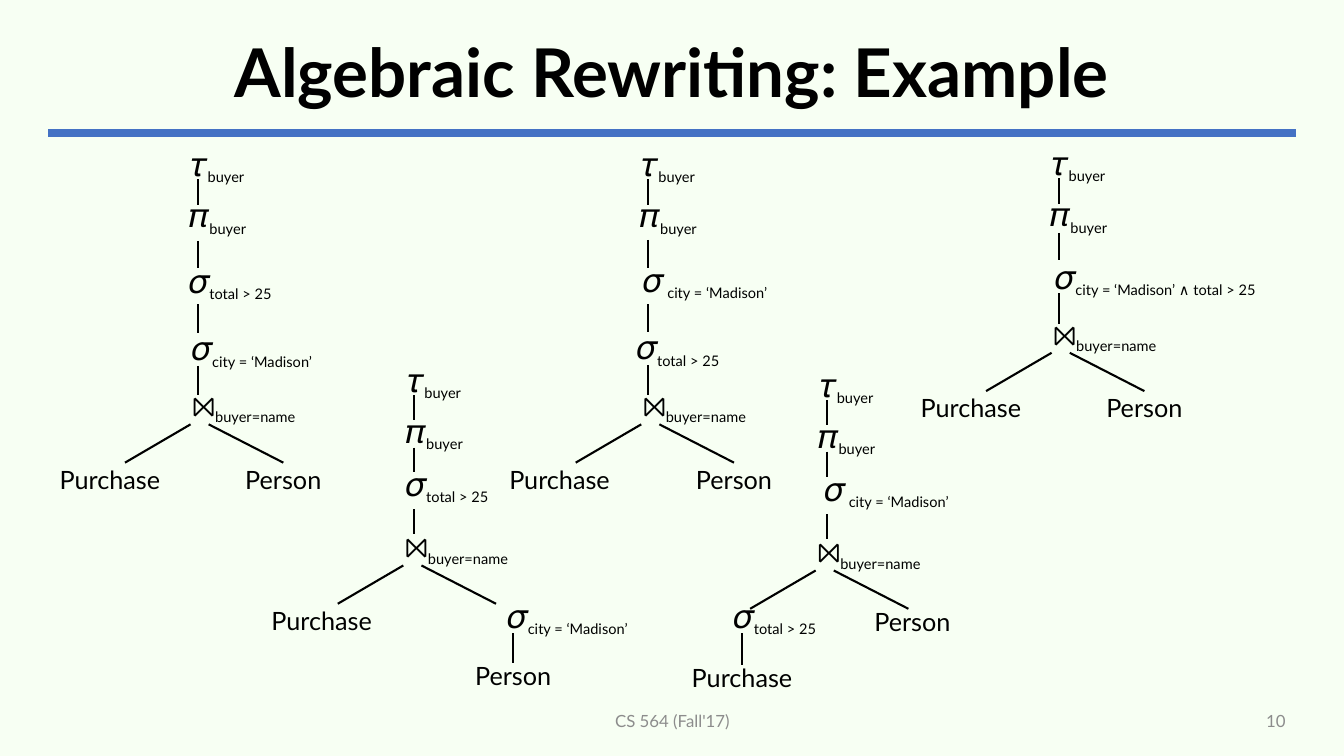
from dataclasses import dataclass

from lxml import etree
from pptx import Presentation
from pptx.dml.color import RGBColor
from pptx.enum.shapes import MSO_CONNECTOR, MSO_SHAPE
from pptx.enum.text import MSO_ANCHOR, PP_ALIGN
from pptx.oxml.ns import qn
from pptx.util import Inches, Pt

STRAIGHT = MSO_CONNECTOR.STRAIGHT
ELLIPSE = MSO_SHAPE.OVAL
MIDDLE = MSO_ANCHOR.MIDDLE
CENTER, RIGHT = PP_ALIGN.CENTER, PP_ALIGN.RIGHT
TOP_SIDE = 0


@dataclass(frozen=True)
class Theme:
    font: str = "Lato"
    background: RGBColor = RGBColor(0xF7, 0xFF, 0xF3)
    ink: RGBColor = RGBColor(0, 0, 0)
    rule: RGBColor = RGBColor(0x44, 0x72, 0xC4)
    footer: RGBColor = RGBColor(0x8C, 0x8C, 0x8C)
    title_size: int = 48
    operator_size: int = 24
    join_size: int = 20
    text_size: int = 18
    footer_size: int = 12


theme = Theme()
presentation = Presentation()
presentation.slide_width = Inches(13.33)
presentation.slide_height = Inches(7.5)
slide = presentation.slides.add_slide(presentation.slide_layouts[6])
slide.background.fill.solid()
slide.background.fill.fore_color.rgb = theme.background


def add_text(left, top, width, height, pieces, align=CENTER, color=theme.ink, node=False):
    box = Inches(left), Inches(top), Inches(width), Inches(height)
    if node:
        shape = slide.shapes.add_shape(ELLIPSE, *box)
        shape.shadow.inherit = False
        shape.fill.background()
        shape.line.fill.background()
    else:
        shape = slide.shapes.add_textbox(*box)
    frame = shape.text_frame
    frame.word_wrap = not node
    frame.vertical_anchor = MIDDLE
    frame.margin_left = frame.margin_right = Inches(0 if node else 0.1)
    frame.margin_top = frame.margin_bottom = 0
    paragraph = frame.paragraphs[0]
    paragraph.alignment = align
    for text, size in pieces:
        run = paragraph.add_run()
        run.text = text
        run.font.name = theme.font
        run.font.size = Pt(size)
        run.font.color.rgb = color
    return shape


def add_line(x1, y1, x2, y2, color=theme.ink, width=1.5):
    line = slide.shapes.add_connector(STRAIGHT, Inches(x1), Inches(y1), Inches(x2), Inches(y2))
    line.line.color.rgb = color
    line.line.width = Pt(width)
    etree.SubElement(line._element.spPr, qn("a:effectLst"))
    return line


add_line(0.48, 1.32, 12.85, 1.32, theme.rule, 6)
title = add_text(0.48, 0.23, 12.37, 1.04, [("Algebraic Rewriting: Example", theme.title_size)])
title_paragraph = title.text_frame.paragraphs[0]
title_paragraph.line_spacing = 0.9
title_paragraph.runs[0].font.bold = True
add_text(4.42, 6.95, 4.5, 0.4, [("CS 564 (Fall'17)", theme.footer_size)], color=theme.footer)
add_text(9.42, 6.95, 3.43, 0.4, [("10", theme.footer_size)], RIGHT, theme.footer)

TOTAL = "total > 25"
CITY = "city = ‘Madison’"
SPACED_CITY = " " + CITY
BOTH = "city = ‘Madison’ ∧ total > 25"
INDENTS = {"buyer": 0.43, "buyer=name": 0.91, TOTAL: 0.6, CITY: 1.07,
           SPACED_CITY: 1.14, BOTH: 1.91}
LEAF_WIDTHS = {"Purchase": 1.6, "Person": 1.28}

trees = [
    {"axis": 1.96, "top": 1.63, "join": (1.96, 4.04),
     "selections": [(TOTAL, 1.26, 2.79), (CITY, 1.24, 3.46)],
     "stems": [(2.39, 2.66), (3.02, 3.3), (3.63, 3.92)],
     "leaves": [("Purchase", 1.09, 4.76), ("Person", 2.81, 4.76)]},
    {"axis": 6.43, "top": 1.63, "join": (6.43, 4.04),
     "selections": [(SPACED_CITY, 5.7, 2.78), (TOTAL, 5.7, 3.45)],
     "stems": [(2.38, 2.66), (3.02, 3.29), (3.62, 3.92)],
     "leaves": [("Purchase", 5.55, 4.76), ("Person", 7.28, 4.76)]},
    {"axis": 10.5, "top": 1.62, "join": (10.5, 3.33),
     "selections": [(BOTH, 9.78, 2.75)],
     "stems": [(2.31, 2.58), (2.91, 3.21)],
     "leaves": [("Purchase", 9.63, 4.04), ("Person", 11.35, 4.04)]},
    {"axis": 4.11, "top": 3.77, "join": (4.07, 5.44),
     "selections": [(TOTAL, 3.41, 4.8), (CITY, 4.37, 6.11)],
     "stems": [(4.44, 4.68), (5.05, 5.3)],
     "leaves": [("Purchase", 3.19, 6.16), ("Person", 5.09, 6.7)],
     "pushed": 1},
    {"axis": 8.2, "top": 3.82, "join": (8.16, 5.49),
     "selections": [(SPACED_CITY, 7.5, 4.85), (TOTAL, 6.66, 6.11)],
     "stems": [(4.48, 4.73), (5.1, 5.35)],
     "leaves": [("Purchase", 7.36, 6.72), ("Person", 9.05, 6.17)],
     "pushed": 0},
]

for tree in trees:
    axis, top = tree["axis"], tree["top"]
    join_x, join_y = tree["join"]

    operators = [
        ("𝜏", "buyer", axis - 0.74, top, 0.17, theme.operator_size),
        ("𝜋", "buyer", axis - 0.74, top + 0.51, 0.17, theme.operator_size),
        ("⨝", "buyer=name", join_x - 0.72, join_y, 0.25, theme.join_size),
    ]
    for condition, left, middle in tree["selections"]:
        operators.append(("𝜎", condition, left, middle, 0.33, theme.operator_size))
    for symbol, subscript, left, middle, height, size in operators:
        label = add_text(left, middle - height / 2, 1.45, height,
                         [(symbol, size), (subscript, theme.text_size)], node=True)
        paragraph = label.text_frame.paragraphs[0]
        paragraph._p.get_or_add_pPr().set("marL", str(Inches(INDENTS[subscript])))
        paragraph.runs[1].font._element.set("baseline", "-25000")

    for start, end in [(top + 0.15, top + 0.4)] + tree["stems"]:
        add_line(axis, start, axis, end)
    for start, end in [(-0.07, -0.72), (0.11, 0.85)]:
        add_line(join_x + start, join_y + 0.17, join_x + end, join_y + 0.55)

    for index, (name, center, middle) in enumerate(tree["leaves"]):
        width = LEAF_WIDTHS[name]
        leaf = add_text(center - width / 2, middle - 0.12, width, 0.24,
                        [(name, theme.text_size)], node=True)
        if tree.get("pushed") == index:
            stem = add_line(center, 6.28, center, middle - 0.12)
            stem.end_connect(leaf, TOP_SIDE)

presentation.save("out.pptx")
